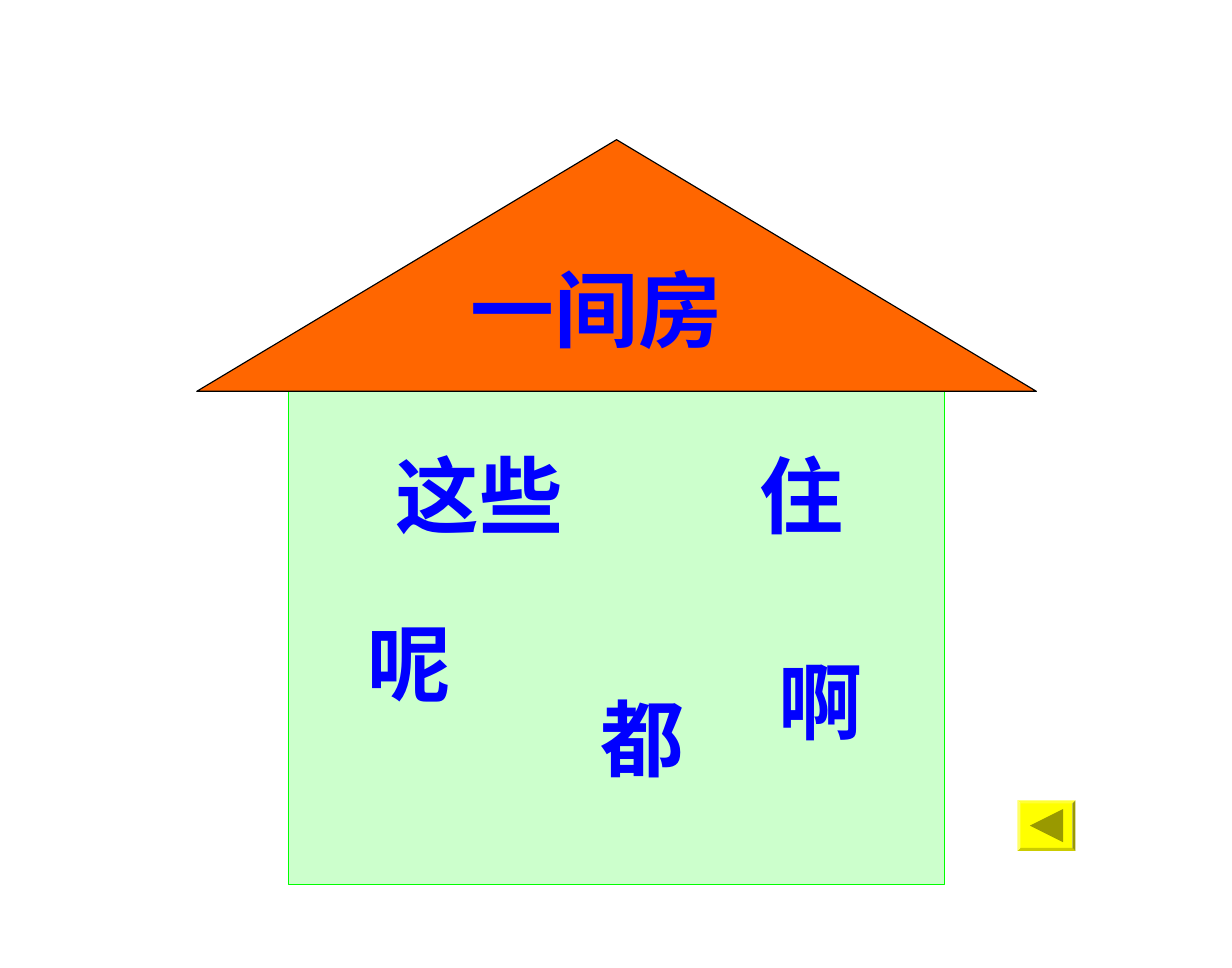
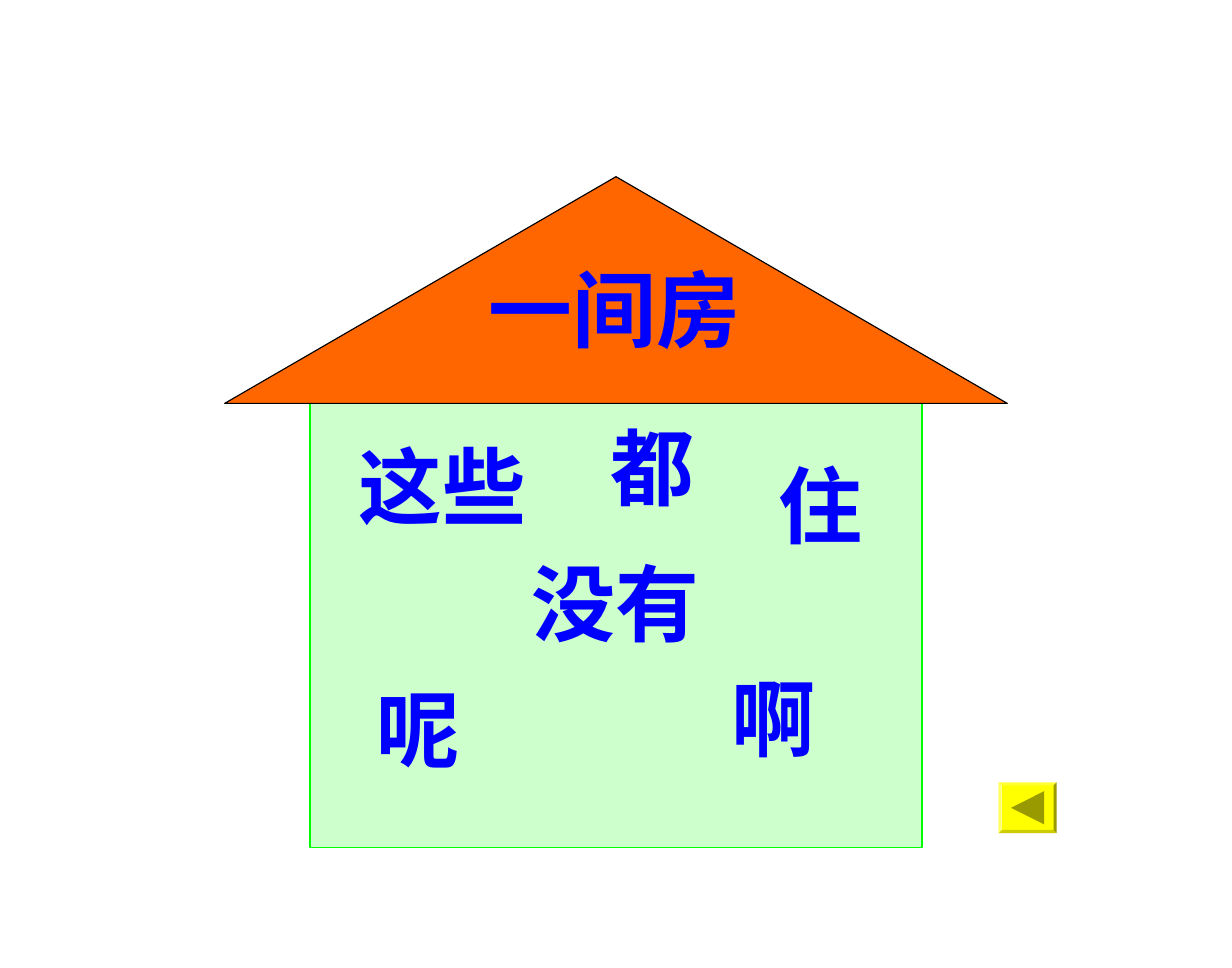
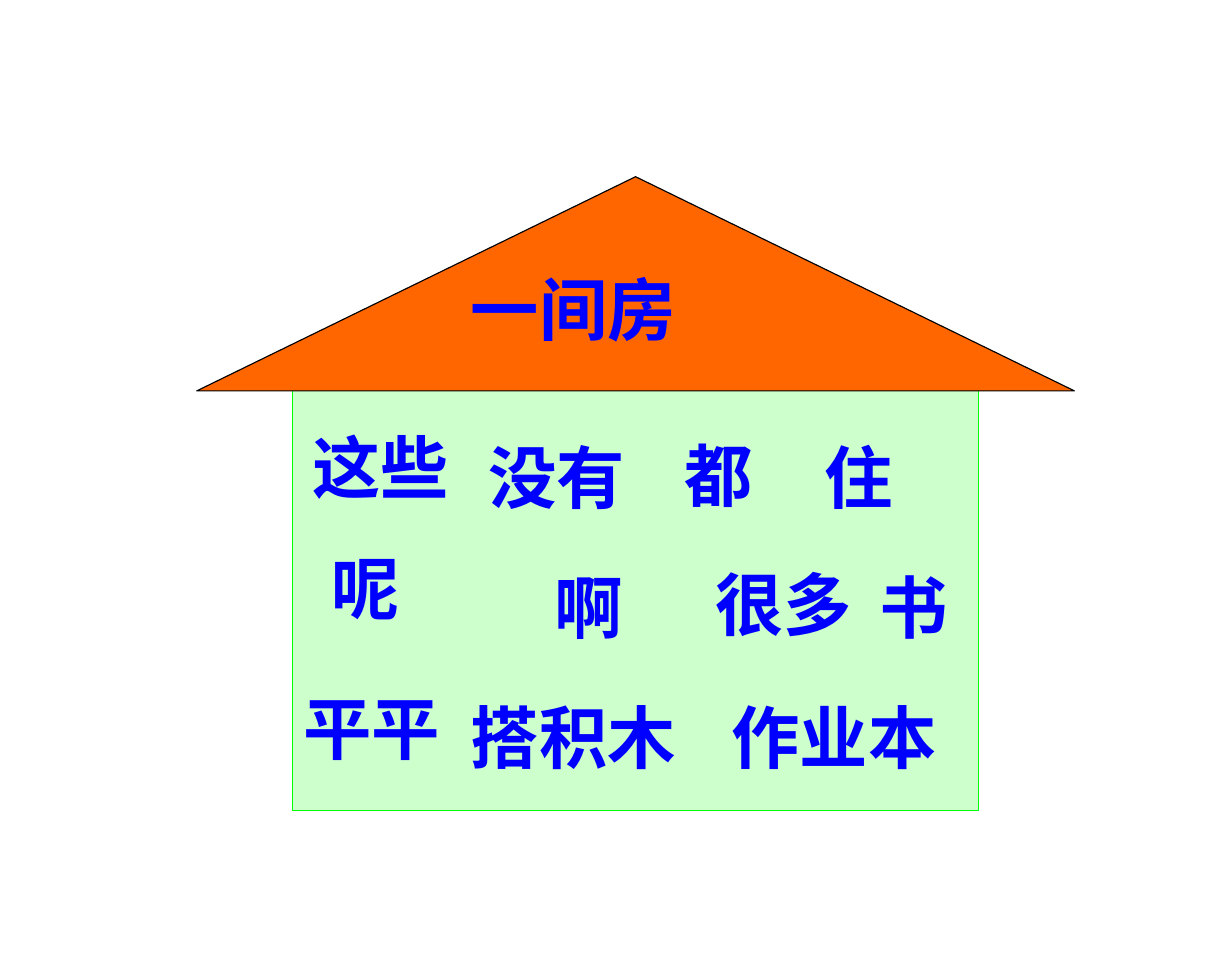
from dataclasses import dataclass

from pptx import Presentation
from pptx.dml.color import RGBColor
from pptx.enum.lang import MSO_LANGUAGE_ID
from pptx.enum.shapes import MSO_SHAPE
from pptx.enum.text import MSO_ANCHOR, MSO_AUTO_SIZE, PP_ALIGN
from pptx.shapes.autoshape import Shape
from pptx.slide import Slide
from pptx.util import Pt

TITLE_ONLY_LAYOUT = 5


@dataclass(frozen=True)
class Theme:
    font: str = "Times New Roman"
    text: RGBColor = RGBColor(0x00, 0x00, 0xFF)
    wall: RGBColor = RGBColor(0xCC, 0xFF, 0xCC)
    wall_line: RGBColor = RGBColor(0x00, 0xFF, 0x00)
    roof: RGBColor = RGBColor(0xFF, 0x66, 0x00)
    roof_line: RGBColor = RGBColor(0x00, 0x00, 0x00)
    button: RGBColor = RGBColor(0xFF, 0xFF, 0x00)
    button_arrow: RGBColor = RGBColor(0x99, 0x99, 0x00)
    large: float = 54
    medium: float = 44
    line_width: float = 0.75


@dataclass(frozen=True)
class Box:
    left: float
    top: float
    width: float
    height: float


@dataclass(frozen=True)
class Word:
    text: str
    left: float
    top: float


@dataclass(frozen=True)
class HouseSlide:
    house: Box
    size: float
    title: Word
    words: tuple[Word, ...]
    button: Box | None = None


THEME = Theme()
ROOF_SHARE = 0.338
WALL_SHARE = 0.782
WORD_WIDTHS = {
    "住": 100, "都": 88, "呢": 94, "啊": 81, "书": 75,
    "这些": 125, "没有": 138, "很多": 125, "平平": 131,
    "一间房": 200, "搭积木": 200, "作业本": 181,
}

SLIDES = (
    HouseSlide(
        Box(126.7, 90, 540.7, 479.5), THEME.large, Word("一间房", 295.2, 162),
        (
            Word("住", 481, 281.5), Word("都", 378.7, 437.8), Word("这些", 247, 281.5),
            Word("呢", 229, 389.5), Word("啊", 493.2, 414),
        ),
        Box(655.2, 515.5, 37.4, 32.6),
    ),
    HouseSlide(
        Box(144.7, 113.8, 504, 432), THEME.large, Word("一间房", 306.7, 162),
        (
            Word("住", 493.2, 288), Word("都", 385.2, 263.5), Word("这些", 223.2, 275.8),
            Word("呢", 234.7, 432), Word("啊", 463, 425.5), Word("没有", 334.1, 351.4),
        ),
        Box(643, 504, 37.4, 32.6),
    ),
    HouseSlide(
        Box(126.7, 113.8, 565.2, 408.2), THEME.medium, Word("一间房", 295.2, 167.8),
        (
            Word("呢", 205.2, 347.8), Word("住", 522.7, 275.8), Word("都", 432.7, 275),
            Word("这些", 193, 270), Word("啊", 349.2, 360), Word("没有", 306.7, 275.8),
            Word("很多", 452.9, 357.8), Word("平平", 187.2, 437.8),
            Word("搭积木", 295.2, 443.5), Word("作业本", 463, 443.5), Word("书", 558.7, 360),
        ),
    ),
)


def add_filled_shape(shapes, kind: MSO_SHAPE, box: Box, *, fill: RGBColor,
                     line: RGBColor | None = None) -> Shape:
    shape = shapes.add_shape(kind, Pt(box.left), Pt(box.top), Pt(box.width), Pt(box.height))
    shape.shadow.inherit = False
    shape.fill.solid()
    shape.fill.fore_color.rgb = fill
    if line is None:
        shape.line.fill.background()
    else:
        shape.line.color.rgb = line
        shape.line.width = Pt(THEME.line_width)
    return shape


def add_house(slide: Slide, house: Box) -> None:
    roof_height = house.height * ROOF_SHARE
    wall_width = house.width * WALL_SHARE
    wall = Box(house.left + (house.width - wall_width) / 2, house.top + roof_height,
               wall_width, house.height - roof_height)
    roof = Box(house.left, house.top, house.width, roof_height)
    group = slide.shapes.add_group_shape()
    add_filled_shape(group.shapes, MSO_SHAPE.RECTANGLE, wall,
                     fill=THEME.wall, line=THEME.wall_line)
    add_filled_shape(group.shapes, MSO_SHAPE.ISOSCELES_TRIANGLE, roof,
                     fill=THEME.roof, line=THEME.roof_line)


def add_back_button(slide: Slide, button: Box) -> None:
    face = add_filled_shape(slide.shapes, MSO_SHAPE.BEVEL, button, fill=THEME.button)
    face.adjustments[0] = 0.06
    side = 21.4
    arrow_box = Box(button.left + (button.width - side) / 2,
                    button.top + (button.height - side) / 2, side, side)
    arrow = add_filled_shape(slide.shapes, MSO_SHAPE.ISOSCELES_TRIANGLE, arrow_box,
                             fill=THEME.button_arrow)
    arrow.rotation = 270


def write_word(shape: Shape, word: Word, *, size: float) -> None:
    """Place and format a text box or title placeholder."""
    shape.left, shape.top = Pt(word.left), Pt(word.top)
    shape.width, shape.height = Pt(WORD_WIDTHS[word.text]), Pt(size * 1.19 + 8.5)
    frame = shape.text_frame
    frame.word_wrap = True
    frame.auto_size = MSO_AUTO_SIZE.SHAPE_TO_FIT_TEXT
    frame.vertical_anchor = MSO_ANCHOR.TOP
    frame.margin_left = frame.margin_right = Pt(8)
    frame.margin_top = frame.margin_bottom = Pt(4.2)
    paragraph = frame.paragraphs[0]
    paragraph.alignment = PP_ALIGN.LEFT
    run = paragraph.add_run()
    run.text = word.text
    run.font.name = THEME.font
    run.font.size = Pt(size)
    run.font.bold = True
    run.font.color.rgb = THEME.text
    run.font.language_id = MSO_LANGUAGE_ID.SIMPLIFIED_CHINESE


def add_house_slide(presentation: Presentation, content: HouseSlide) -> None:
    slide = presentation.slides.add_slide(presentation.slide_layouts[TITLE_ONLY_LAYOUT])
    add_house(slide, content.house)
    title = slide.shapes.title
    write_word(title, content.title, size=content.size)
    # The title sits on the roof, so it moves in front of the house.
    slide.shapes.element.append(title.element)
    for word in content.words:
        text_box = slide.shapes.add_textbox(0, 0, 0, 0)
        write_word(text_box, word, size=content.size)
    if content.button:
        add_back_button(slide, content.button)


def main() -> None:
    presentation = Presentation()
    presentation.slide_width, presentation.slide_height = Pt(793.4), Pt(623.5)
    for content in SLIDES:
        add_house_slide(presentation, content)
    presentation.save("out.pptx")


if __name__ == "__main__":
    main()
